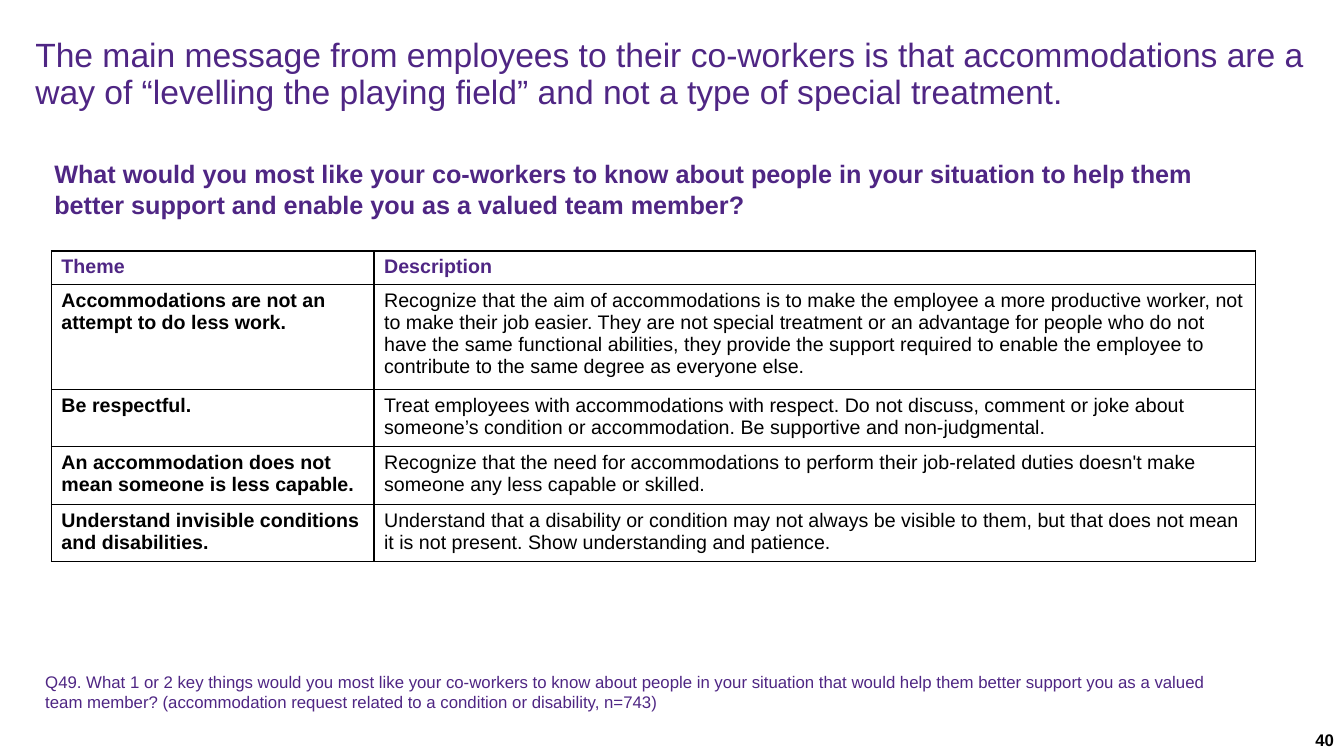
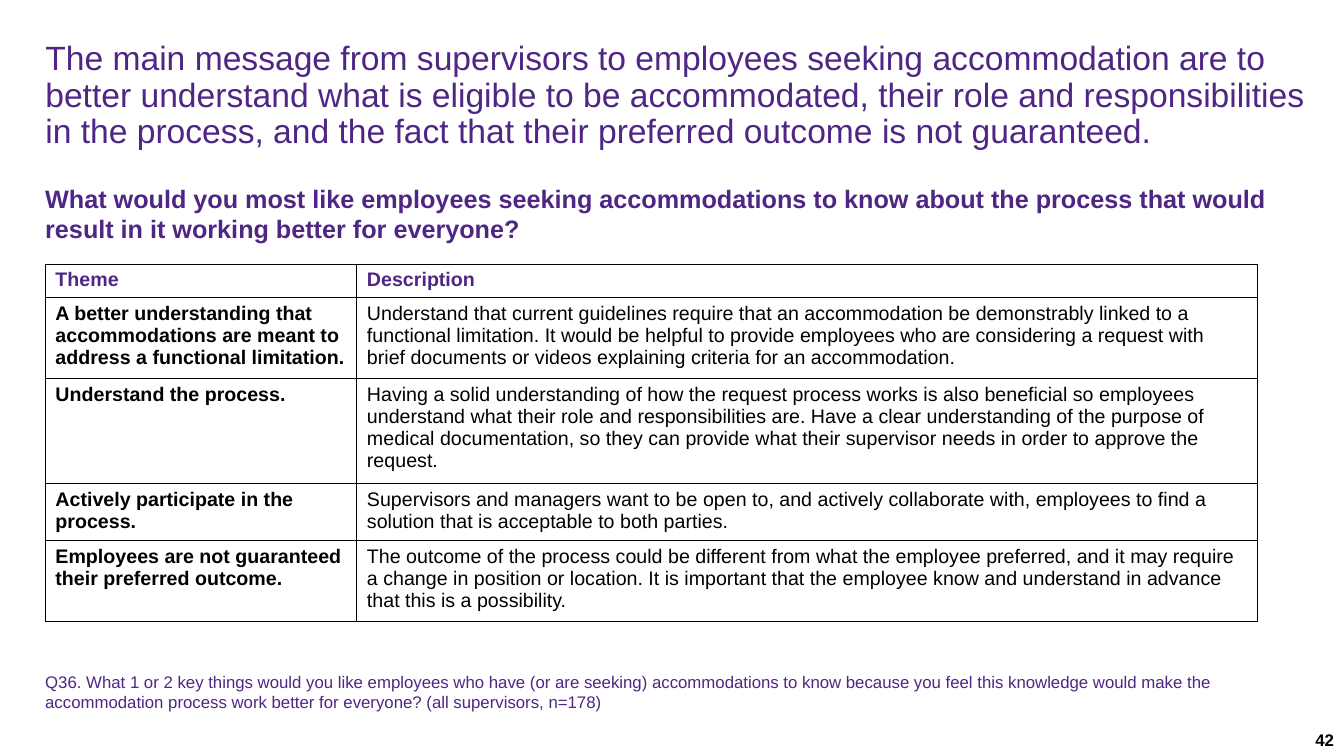
"""Build two slides of survey themes, each with a question, a table and a source note."""
from lxml.etree import SubElement
from pptx import Presentation
from pptx.dml.color import RGBColor
from pptx.enum.text import MSO_ANCHOR as ANCHOR, MSO_AUTO_SIZE as AUTO, PP_ALIGN as ALIGN
from pptx.oxml.ns import qn
from pptx.util import Pt

PURPLE, BLACK, WHITE = "4F2684", "000000", "FFFFFF"
FONT = "Arial"
rgb = RGBColor.from_string


def px(n):
    """Turn px, 100 to the inch, into EMU."""
    return n * 9144


def write(tf, text, size=14, color=PURPLE, bold=False, align=ALIGN.LEFT, spacing=None):
    """Fill a text frame with one formatted paragraph."""
    tf.word_wrap = True
    p = tf.paragraphs[0]
    p.alignment = align
    p.line_spacing = spacing
    r = p.add_run()
    r.text = text
    r.font.name, r.font.size, r.font.bold = FONT, Pt(size), bold
    r.font.color.rgb = rgb(color)


SLIDES = [
    dict(
        title="The main message from employees to their co-workers is that accommodations are a way of “levelling the playing field” and not a type of special treatment.",
        title_at=(35, 36, 1278, 77),
        question="What would you most like your co-workers to know about people in your situation to help them better support and enable you as a valued team member?",
        question_at=(44, 152, 1211, 71),
        table_at=(51, 249), cols=(320, 874), heights=(33, 104, 57, 57, 56),
        rows=[
            ("Accommodations are not an attempt to do less work.",
             "Recognize that the aim of accommodations is to make the employee a more productive worker, not to make their job easier. They are not special treatment or an advantage for people who do not have the same functional abilities, they provide the support required to enable the employee to contribute to the same degree as everyone else."),
            ("Be respectful.",
             "Treat employees with accommodations with respect. Do not discuss, comment or joke about someone’s condition or accommodation. Be supportive and non-judgmental."),
            ("An accommodation does not mean someone is less capable.",
             "Recognize that the need for accommodations to perform their job-related duties doesn't make someone any less capable or skilled."),
            ("Understand invisible conditions and disabilities.",
             "Understand that a disability or condition may not always be visible to them, but that does not mean it is not present. Show understanding and patience."),
        ],
        note="Q49. What 1 or 2 key things would you most like your co-workers to know about people in your situation that would help them better support you as a valued team member? (accommodation request related to a condition or disability, n=743)",
        note_width=1212, number="40"),
    dict(
        title="The main message from supervisors to employees seeking accommodation are to better understand what is eligible to be accommodated, their role and responsibilities in the process, and the fact that their preferred outcome is not guaranteed.",
        title_at=(45, 39, 1252, 113),
        question="What would you most like employees seeking accommodations to know about the process that would result in it working better for everyone?",
        question_at=(35, 176, 1247, 71),
        table_at=(45, 262), cols=(309, 893), heights=(33, 80, 104, 57, 79),
        rows=[
            ("A better understanding that accommodations are meant to address a functional limitation.",
             "Understand that current guidelines require that an accommodation be demonstrably linked to a functional limitation. It would be helpful to provide employees who are considering a request with brief documents or videos explaining criteria for an accommodation."),
            ("Understand the process.",
             "Having a solid understanding of how the request process works is also beneficial so employees understand what their role and responsibilities are. Have a clear understanding of the purpose of medical documentation, so they can provide what their supervisor needs in order to approve the request."),
            ("Actively participate in the process.",
             "Supervisors and managers want to be open to, and actively collaborate with, employees to find a solution that is acceptable to both parties."),
            ("Employees are not guaranteed their preferred outcome.",
             "The outcome of the process could be different from what the employee preferred, and it may require a change in position or location. It is important that the employee know and understand in advance that this is a possibility."),
        ],
        note="Q36. What 1 or 2 key things would you like employees who have (or are seeking) accommodations to know because you feel this knowledge would make the accommodation process work better for everyone? (all supervisors, n=178)",
        note_width=1250, number="42"),
]

prs = Presentation()
prs.slide_width, prs.slide_height = px(1333), px(750)

for d in SLIDES:
    s = prs.slides.add_slide(prs.slide_layouts[5])

    sp = s.shapes.title
    sp.left, sp.top, sp.width, sp.height = map(px, d["title_at"])
    tf = sp.text_frame
    tf.auto_size = AUTO.NONE
    tf.vertical_anchor = ANCHOR.MIDDLE
    tf.margin_left = tf.margin_right = 0
    tf.margin_top = tf.margin_bottom = px(2)
    write(tf, d["title"], size=24, spacing=0.9)

    texts = [
        (d["question_at"], d["question"], dict(size=18, bold=True)),
        ((35, 661, d["note_width"], 50), d["note"], dict(size=12)),
        ((1033, 718, 300, 32), d["number"],
         dict(size=12, color=BLACK, bold=True, align=ALIGN.RIGHT)),
    ]
    for at, text, style in texts:
        tf = s.shapes.add_textbox(*map(px, at)).text_frame
        tf.vertical_anchor = ANCHOR.MIDDLE
        write(tf, text, **style)

    rows = [("Theme", "Description")] + d["rows"]
    size = sum(d["cols"]), sum(d["heights"])
    table = s.shapes.add_table(len(rows), 2, *map(px, d["table_at"] + size)).table
    table.first_row = table.horz_banding = False
    for col, width in zip(table.columns, d["cols"]):
        col.width = px(width)
    for i, (row, height) in enumerate(zip(table.rows, d["heights"])):
        row.height = px(height)
        for j, cell in enumerate(row.cells):
            header = i == 0
            write(cell.text_frame, rows[i][j], color=PURPLE if header else BLACK,
                  bold=header or j == 0)
            tcPr = cell._tc.get_or_add_tcPr()
            for side in ("lnL", "lnR", "lnT", "lnB"):
                ln = SubElement(tcPr, qn(f"a:{side}"), w=str(Pt(1)))
                fill = SubElement(ln, qn("a:solidFill"))
                SubElement(fill, qn("a:srgbClr"), val=BLACK)
            cell.fill.solid()
            cell.fill.fore_color.rgb = rgb(WHITE)

prs.save("out.pptx")
